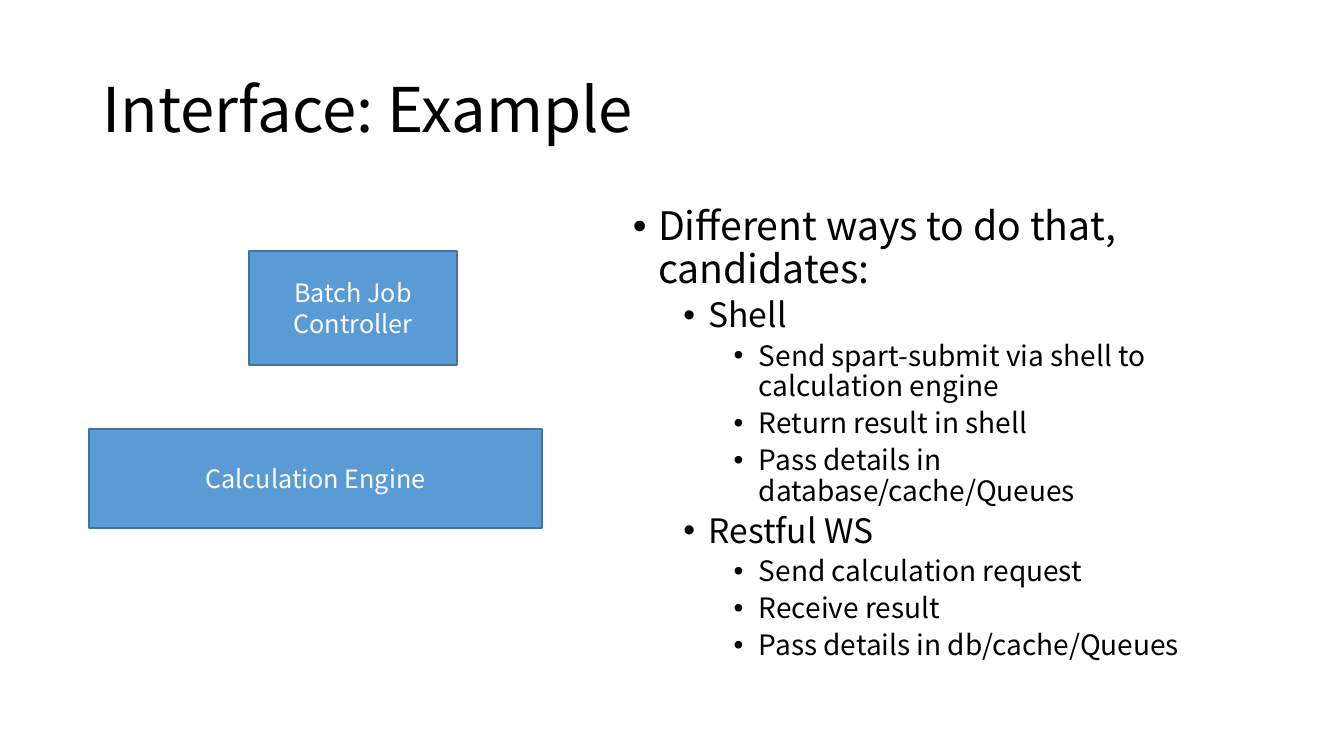
from dataclasses import dataclass

from lxml import etree
from pptx import Presentation
from pptx import util as u
from pptx.dml import color
from pptx.enum import shapes, text
from pptx.oxml import ns

SCALE = 914400 / 100.8


@dataclass(frozen=True)
class Theme:
    font: str = "Noto Sans CJK SC"
    ink: str = "000000"
    light: str = "FFFFFF"
    fill: str = "5B9BD5"
    edge: str = "43739E"
    title: int = 44
    label: int = 18
    levels: tuple = (28, 24, 20)


THEME = Theme()
WAYS = [
    (0, "Different ways to do that, candidates:"),
    (1, "Shell"),
    (2, "Send spart-submit via shell to calculation engine"),
    (2, "Return result in shell"),
    (2, "Pass details in database/cache/Queues"),
    (1, "Restful WS"),
    (2, "Send calculation request"),
    (2, "Receive result"),
    (2, "Pass details in db/cache/Queues"),
]


def px(n):
    return u.Emu(round(n * SCALE))


def rgb(code):
    return color.RGBColor.from_string(code)


def add_run(para, words, size, ink):
    run = para.add_run()
    run.text = words
    run.font.name = THEME.font
    run.font.size = u.Pt(size)
    run.font.color.rgb = rgb(ink)


def add_text(slide, box, anchor):
    frame = slide.shapes.add_textbox(*map(px, box)).text_frame
    frame.word_wrap = True
    frame.vertical_anchor = anchor
    return frame


def add_bullet(para, level):
    para.level = level
    props = para._p.get_or_add_pPr()
    props.set("marL", str(u.Inches(0.25 + 0.5 * level)))
    props.set("indent", str(u.Inches(-0.25)))
    etree.SubElement(props, ns.qn("a:buFont")).set("typeface", "Arial")
    etree.SubElement(props, ns.qn("a:buChar")).set("char", "•")


# Heading
def add_title(slide, box):
    para = add_text(slide, box, text.MSO_ANCHOR.MIDDLE).paragraphs[0]
    para.line_spacing = 0.9
    add_run(para, "Interface: Example", THEME.title, THEME.ink)


# Bulleted candidates
def add_ways(slide, box):
    frame = add_text(slide, box, text.MSO_ANCHOR.TOP)
    for i, (level, words) in enumerate(WAYS):
        para = frame.add_paragraph() if i else frame.paragraphs[0]
        para.line_spacing = 0.9
        para.space_before = u.Pt(5 if level else 10)
        add_bullet(para, level)
        add_run(para, words, THEME.levels[level], THEME.ink)


def add_block(slide, box, words):
    block = slide.shapes.add_shape(shapes.MSO_SHAPE.RECTANGLE, *map(px, box))
    block.shadow.inherit = False
    block.fill.solid()
    block.fill.fore_color.rgb = rgb(THEME.fill)
    block.line.color.rgb = rgb(THEME.edge)
    block.line.width = u.Pt(1)
    frame = block.text_frame
    frame.word_wrap = True
    frame.vertical_anchor = text.MSO_ANCHOR.MIDDLE
    para = frame.paragraphs[0]
    para.alignment = text.PP_ALIGN.CENTER
    add_run(para, words, THEME.label, THEME.light)


# Controller above the engine
def add_stack(slide, box):
    left, top, width, height = box
    base = 99
    add_block(slide, (left + 160, top, 208, 114), "Batch Job Controller")
    add_block(slide, (left, top + height - base, width, base),
              "Calculation Engine")


def main():
    deck = Presentation()
    deck.slide_width, deck.slide_height = px(1344), px(756)
    slide = deck.slides.add_slide(deck.slide_layouts[6])
    add_title(slide, (93, 40, 1159, 146))
    add_ways(slide, (623, 202, 629, 480))
    add_stack(slide, (89, 251, 453, 277))
    deck.save("out.pptx")


main()
